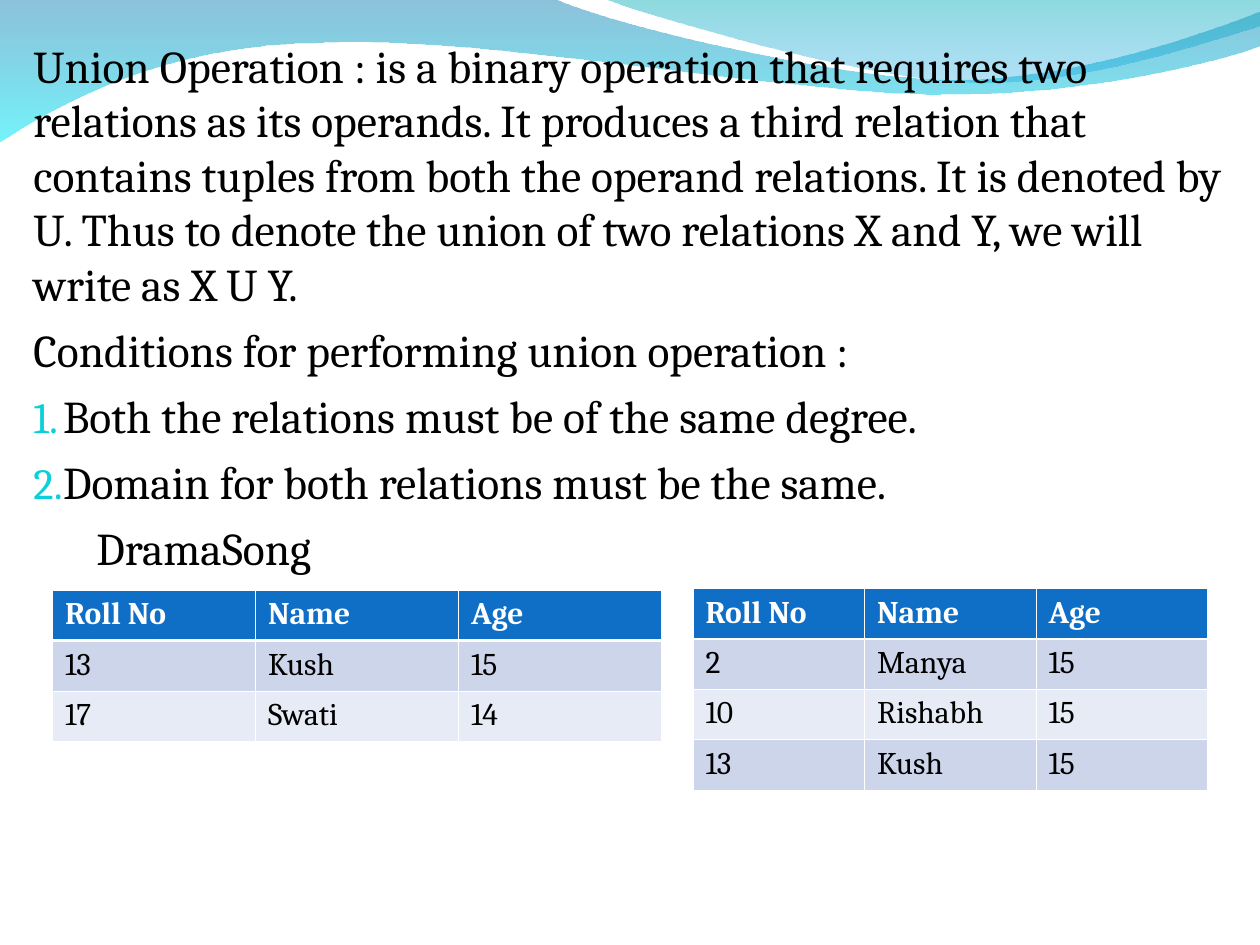
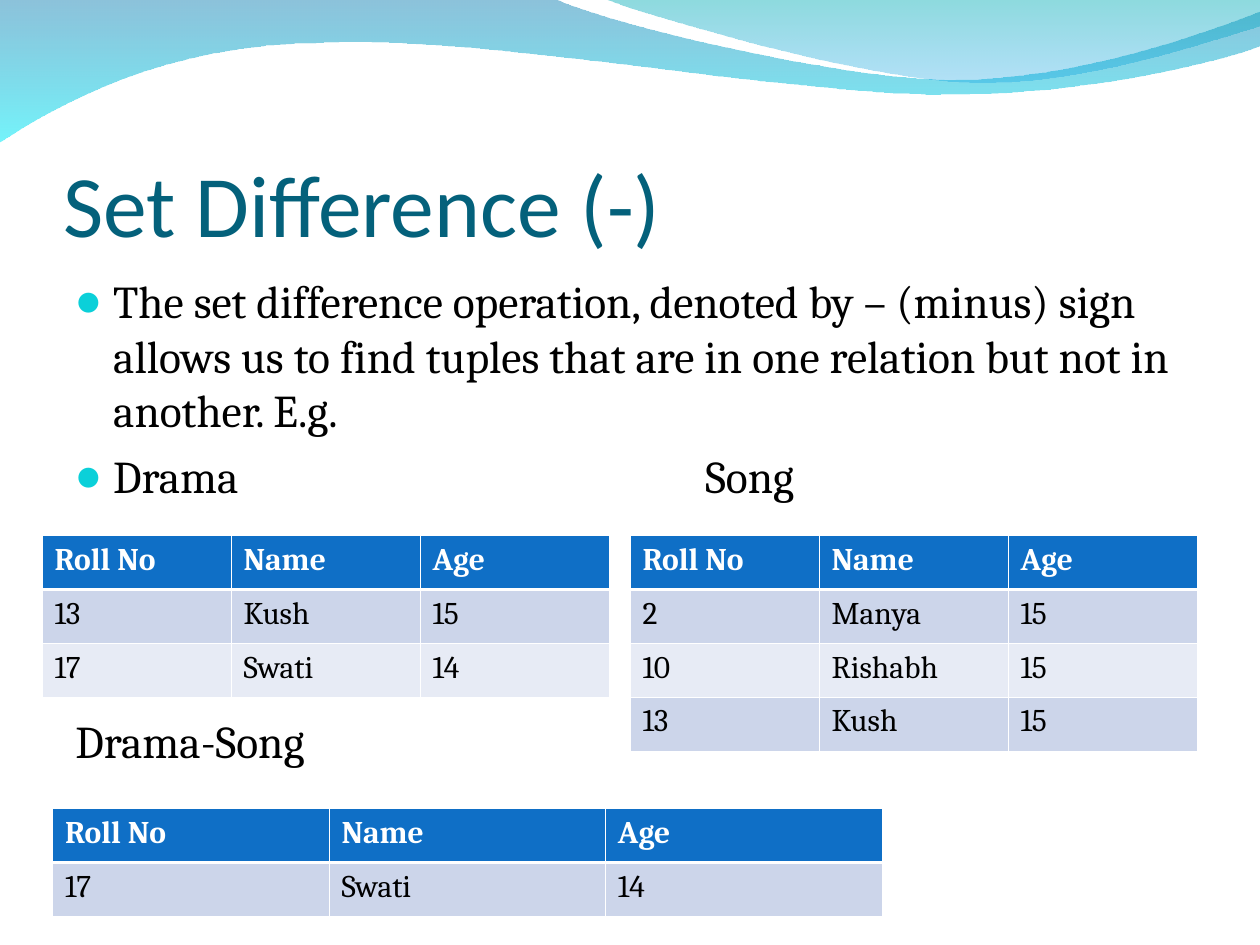
from lxml import etree
from pptx import Presentation
from pptx.dml.color import RGBColor
from pptx.enum.text import MSO_ANCHOR, MSO_AUTO_SIZE, PP_ALIGN
from pptx.oxml.ns import qn
from pptx.util import Pt

LEFT = PP_ALIGN.LEFT
BOTTOM = MSO_ANCHOR.BOTTOM
NO_AUTOFIT = MSO_AUTO_SIZE.NONE

color = RGBColor.from_string
BLACK, WHITE = "000000", "FFFFFF"
TITLE_TEAL, BULLET_CYAN = "04617B", "0BD0D9"
HEADER_BLUE = "0F6FC6"
BAND_FILLS = ("E7EBF5", "CCD5EA")
TITLE_FONT, BODY_FONT = "Calibri", "Cambria"
PARAGRAPH_GAP = 6.5

# Each wave: start point, segments (one end point, or three curve points), gradient stops.
WAVES = [
    ((0, -0.7),
     [[(316.8, -0.7)],
      [(342.7, 12.2), (478.1, 45.4), (545.8, 45.4)],
      [(614.2, 45.4), (689.8, 18.7), (720, 6.5)],
      [(720.7, 25.9)],
      [(707.8, 31.7), (626.4, 54.7), (537.1, 54)],
      [(447.8, 54), (275, 20.2), (185, 24.5)],
      [(92.9, 25.2), (33.1, 59.8), (-0.7, 81.4)]],
     [("0079AF", 45), ("00EBF8", 55)]),
    ((344.9, -0.7),
     [[(366.5, 7.9), (491, 44.6), (553.7, 46.8)],
      [(616.3, 49.7), (691.9, 23), (720, 15.1)],
      [(720, 0)]],
     [("00ADB6", 45), ("009BE5", 30)]),
]

HEADER = ["Roll No", "Name", "Age"]
DRAMA = [HEADER, ["13", "Kush", "15"], ["17", "Swati", "14"]]
SONG = [HEADER, ["2", "Manya", "15"], ["10", "Rishabh", "15"], ["13", "Kush", "15"]]
DRAMA_MINUS_SONG = [HEADER, ["17", "Swati", "14"]]


def add_text(slide, left, top, width, height, paragraphs):
    """Add body text; a paragraph is (text, bullet tag, hanging indent, tab stops, gap before)."""
    box = slide.shapes.add_textbox(Pt(left), Pt(top), Pt(width), Pt(height))
    text_frame = box.text_frame
    text_frame.word_wrap = True
    text_frame.auto_size = NO_AUTOFIT
    for index, (text, bullet, hanging, tab_stops, gap) in enumerate(paragraphs):
        paragraph = text_frame.add_paragraph() if index else text_frame.paragraphs[0]
        paragraph.text = text
        properties = paragraph._p.get_or_add_pPr()
        properties.set("marL", str(Pt(hanging)))
        properties.set("indent", str(-Pt(hanging)))
        if bullet:
            bullet_color = etree.SubElement(properties, qn("a:buClr"))
            etree.SubElement(bullet_color, qn("a:srgbClr"), val=BULLET_CYAN)
            etree.SubElement(properties, qn("a:buSzPct"), val="95000")
            etree.SubElement(properties, qn("a:buFont"), typeface=TITLE_FONT)
            if bullet == "a:buChar":
                etree.SubElement(properties, qn(bullet), char="●")
            else:
                etree.SubElement(properties, qn(bullet), type="arabicPeriod")
        if tab_stops:
            tab_list = etree.SubElement(properties, qn("a:tabLst"))
            for stop in tab_stops:
                etree.SubElement(tab_list, qn("a:tab"), pos=str(Pt(stop)), algn="l")
        if gap:
            paragraph.space_before = Pt(gap)
        for run in paragraph.runs:
            run.font.name = BODY_FONT
            run.font.size = Pt(26)
            run.font.color.rgb = color(BLACK)


def add_relation(slide, left, top, width, row_height, rows):
    """Add a relation as a table with a blue header, banded rows and white rules."""
    columns = len(rows[0])
    frame = slide.shapes.add_table(len(rows), columns, Pt(left), Pt(top),
                                   Pt(width), Pt(row_height * len(rows)))
    table = frame.table
    for column in table.columns:
        column.width = Pt(width / columns)
    for row_index, values in enumerate(rows):
        table.rows[row_index].height = Pt(row_height)
        is_header = row_index == 0
        for column_index, value in enumerate(values):
            cell = table.cell(row_index, column_index)
            cell.text = value
            font = cell.text_frame.paragraphs[0].runs[0].font
            font.name = BODY_FONT
            font.size = Pt(18)
            font.bold = is_header
            font.color.rgb = color(WHITE if is_header else BLACK)
            for side in ("L", "R", "T", "B"):
                is_thick = (row_index, side) in ((0, "B"), (1, "T"))
                line = etree.SubElement(cell._tc.get_or_add_tcPr(), qn("a:ln" + side),
                                        w=str(Pt(1.47 if is_thick else 0.45)))
                line_fill = etree.SubElement(line, qn("a:solidFill"))
                etree.SubElement(line_fill, qn("a:srgbClr"), val=WHITE)
            cell.fill.solid()
            cell.fill.fore_color.rgb = color(HEADER_BLUE if is_header
                                             else BAND_FILLS[row_index % 2])


presentation = Presentation()
presentation.slide_width = Pt(720)
presentation.slide_height = Pt(540)
title_only, blank = presentation.slide_layouts[5], presentation.slide_layouts[6]
union_slide = presentation.slides.add_slide(blank)
difference_slide = presentation.slides.add_slide(title_only)

# Waves are drawn once and moved to the master, behind its placeholders.
master_tree = presentation.slide_master.shapes.element
for position, (start, segments, stops) in enumerate(WAVES, start=2):
    builder = union_slide.shapes.build_freeform(Pt(start[0]), Pt(start[1]), scale=1.0)
    builder.add_line_segments([(Pt(x), Pt(y)) for segment in segments for x, y in segment],
                              close=True)
    wave = builder.convert_to_shape()
    wave.name = f"Wave {position - 1}"

    # Every run of three points becomes one cubic curve.
    lines = iter(list(wave.element.iter(qn("a:lnTo"))))
    for segment in segments:
        first, *others = [next(lines) for point in segment]
        if others:
            first.tag = qn("a:cubicBezTo")
            for other in others:
                first.append(other[0])
                other.getparent().remove(other)

    wave.shadow.inherit = False
    wave.line.fill.background()
    wave.fill.gradient()
    wave.fill.gradient_angle = 270
    for gradient_stop, (hex_color, opacity) in zip(wave.fill.gradient_stops, stops):
        gradient_stop.color.rgb = color(hex_color)
    for color_element, (hex_color, opacity) in zip(
            wave.element.spPr.iter(qn("a:srgbClr")), stops):
        etree.SubElement(color_element, qn("a:alpha"), val=str(opacity * 1000))
    master_tree.insert(position, wave.element)

# Slide 1: union
add_text(union_slide, 12, 18, 696, 522, [
    ("Union Operation : is a binary operation that requires two relations as its operands. "
     "It produces a third relation that contains tuples from both the operand relations. "
     "It is denoted by U. Thus to denote the union of two relations X and Y, "
     "we will write as X U Y.", None, 0, [], 0),
    ("Conditions for performing union operation :", None, 0, [], PARAGRAPH_GAP),
    ("Both the relations must be of the same degree.", "a:buAutoNum", 17, [], PARAGRAPH_GAP),
    ("Domain for both relations must be the same.", "a:buAutoNum", 17, [], PARAGRAPH_GAP),
    ("\tDrama\tSong", None, 0, [80, 432], PARAGRAPH_GAP),
])
add_relation(union_slide, 30, 337.2, 348, 28.8, DRAMA)
add_relation(union_slide, 396, 336.2, 294, 28.8, SONG)

# Slide 2: set difference
title = difference_slide.shapes.title
title.left, title.top, title.width, title.height = Pt(36), Pt(55.8), Pt(648), Pt(90)
title_frame = title.text_frame
title_frame.text = "Set Difference (-)"
title_frame.word_wrap = True
title_frame.auto_size = NO_AUTOFIT
title_frame.vertical_anchor = BOTTOM
title_frame.margin_left = title_frame.margin_right = title_frame.margin_bottom = 0
title_frame.margin_top = Pt(3.6)
title_paragraph = title_frame.paragraphs[0]
title_paragraph.alignment = LEFT
title_font = title_paragraph.runs[0].font
title_font.name = TITLE_FONT
title_font.size = Pt(50)
title_font.color.rgb = color(TITLE_TEAL)

# The gap before the last paragraph leaves room for the two upper tables.
add_text(difference_slide, 36, 152.5, 648, 345.6, [
    ("The set difference operation, denoted by – (minus) sign allows us to find tuples "
     "that are in one relation but not in another. E.g.", "a:buChar", 21.6, [], 0),
    ("Drama\tSong", "a:buChar", 21.6, [360], PARAGRAPH_GAP),
    ("Drama-Song", None, 21.6, [], 120),
])
add_relation(difference_slide, 24, 306, 324, 30.84, DRAMA)
add_relation(difference_slide, 360, 306, 324, 30.84, SONG)
add_relation(difference_slide, 30, 462, 474, 30.84, DRAMA_MINUS_SONG)

presentation.save("out.pptx")
